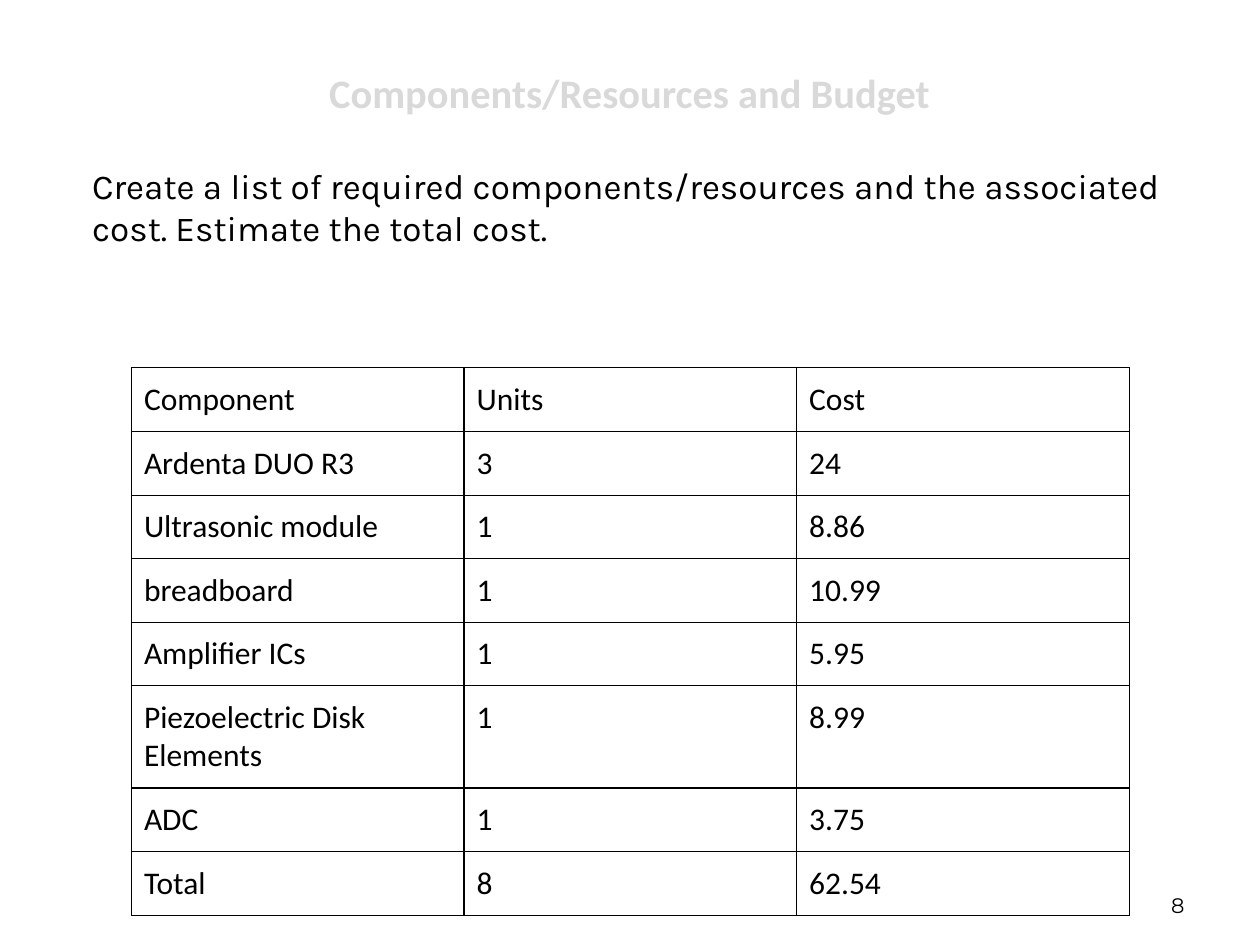
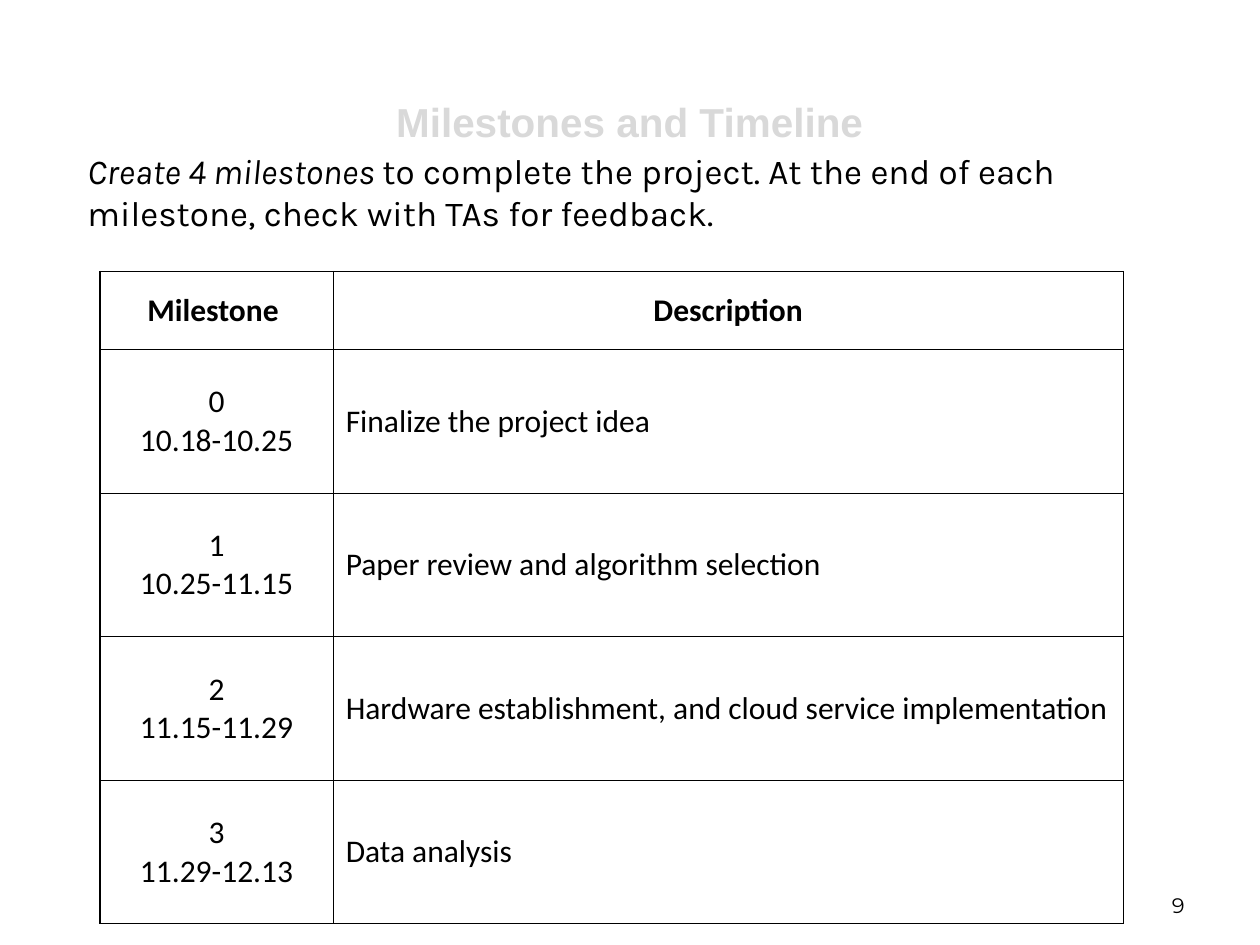
from lxml import etree
from pptx import Presentation
from pptx.dml.color import RGBColor
from pptx.enum.text import MSO_ANCHOR as Anchor, PP_ALIGN as Align
from pptx.oxml.ns import qn
from pptx.util import Inches, Pt

W, H = Inches(10), Inches(7.5)
COL, ROW = W / 100, H / 75
INK, PALE = "000000", "D9D9D9"
PAGE_BOX = (71.7, 68.3, 23.3, 5)

BUDGET = [
    ("Component", "Units", "Cost"),
    ("Ardenta DUO R3", "3", "24"),
    ("Ultrasonic module", "1", "8.86"),
    ("breadboard", "1", "10.99"),
    ("Amplifier ICs", "1", "5.95"),
    ("Piezoelectric Disk Elements", "1", "8.99"),
    ("ADC", "1", "3.75"),
    ("Total", "8", "62.54"),
]
MILESTONES = [
    ("Milestone ", "Description"),
    ("0\n10.18-10.25", "Finalize the project idea"),
    ("1\n10.25-11.15", "Paper review and algorithm selection"),
    ("2\n11.15-11.29", "Hardware establishment, and cloud service implementation"),
    ("3\n11.29-12.13", "Data analysis"),
]


def rgb(color):
    return RGBColor.from_string(color)


def place(box):
    x, y, w, h = box
    return [round(v) for v in (x * COL, y * ROW, w * COL, h * ROW)]


def format_run(r, font, size, color=INK, bold=False, italic=False):
    f = r.font
    f.name, f.size, f.bold, f.italic = font, Pt(size), bold, italic
    f.color.rgb = rgb(color)


def add_text(s, box, parts, font, size, align=Align.LEFT, anchor=Anchor.TOP, color=INK, bold=False):
    tf = s.shapes.add_textbox(*place(box)).text_frame
    tf.word_wrap = True
    tf.vertical_anchor = anchor
    p = tf.paragraphs[0]
    p.alignment = align
    for text, italic in parts:
        r = p.add_run()
        r.text = text
        format_run(r, font, size, color, bold, italic)


def add_borders(cell):
    props = cell._tc.get_or_add_tcPr()
    for i, side in enumerate(("lnL", "lnR", "lnT", "lnB")):
        ln = etree.Element(qn("a:" + side), w=str(Pt(0.75)))
        fill = etree.SubElement(ln, qn("a:solidFill"))
        etree.SubElement(fill, qn("a:srgbClr"), val=INK)
        props.insert(i, ln)


def add_grid(s, box, data, cols, rows, anchor, is_centered, is_bold):
    table = s.shapes.add_table(len(data), len(cols), *place(box)).table
    table.first_row = table.horz_banding = False
    for column, width in zip(table.columns, cols):
        column.width = round(width * COL)
    for row, height in zip(table.rows, rows):
        row.height = round(height * ROW)
    for i, values in enumerate(data):
        for j, value in enumerate(values):
            cell = table.cell(i, j)
            cell.text = value
            cell.fill.background()
            cell.vertical_anchor = anchor
            cell.margin_left = cell.margin_right = round(COL)
            cell.margin_top = cell.margin_bottom = round(ROW)
            add_borders(cell)
            for p in cell.text_frame.paragraphs:
                p.alignment = Align.CENTER if is_centered(i, j) else Align.LEFT
                for r in p.runs:
                    format_run(r, "Calibri", 18, bold=is_bold(i))


def add_base(prs, number, title, title_font, title_box, intro, intro_box):
    s = prs.slides.add_slide(prs.slide_layouts[6])
    add_text(s, title_box, [(title, False)], title_font, 23.1, Align.CENTER, Anchor.MIDDLE, PALE, True)
    add_text(s, PAGE_BOX, [(str(number), False)], "Montserrat", 12, Align.RIGHT, Anchor.BOTTOM)
    add_text(s, intro_box, intro, "Karla", 20)
    return s


def budget_slide(prs):
    intro = [("Create a list of required components/resources and the associated cost. "
              "Estimate the total cost.", False)]
    s = add_base(prs, 8, "Components/Resources and Budget", "Calibri", (5, 4.8, 90, 5),
                 intro, (6.33, 12.6, 90.7, 9.4))
    add_grid(s, (10.43, 29.2, 79.2, 43.4), BUDGET, [26.4] * 3,
             [8.1 if "Elements" in name else 5.05 for name, *_ in BUDGET], Anchor.TOP,
             lambda i, j: False, lambda i: False)


def milestone_slide(prs):
    intro = [("Create 4 milestones ", True),
             ("to complete the project. At the end of each milestone, "
              "check with TAs for feedback.", False)]
    s = add_base(prs, 9, "Milestones and Timeline", "Arial", (5, 7.1, 90, 5),
                 intro, (5.95, 11.4, 90.7, 8.1))
    add_grid(s, (7.94, 21.54, 81.2, 51.8), MILESTONES, [18.5, 62.7], [6.2] + [11.4] * 4,
             Anchor.MIDDLE, lambda i, j: i == 0 or j == 0, lambda i: i == 0)


def main():
    prs = Presentation()
    prs.slide_width, prs.slide_height = W, H
    budget_slide(prs)
    milestone_slide(prs)
    prs.save("out.pptx")


if __name__ == "__main__":
    main()
